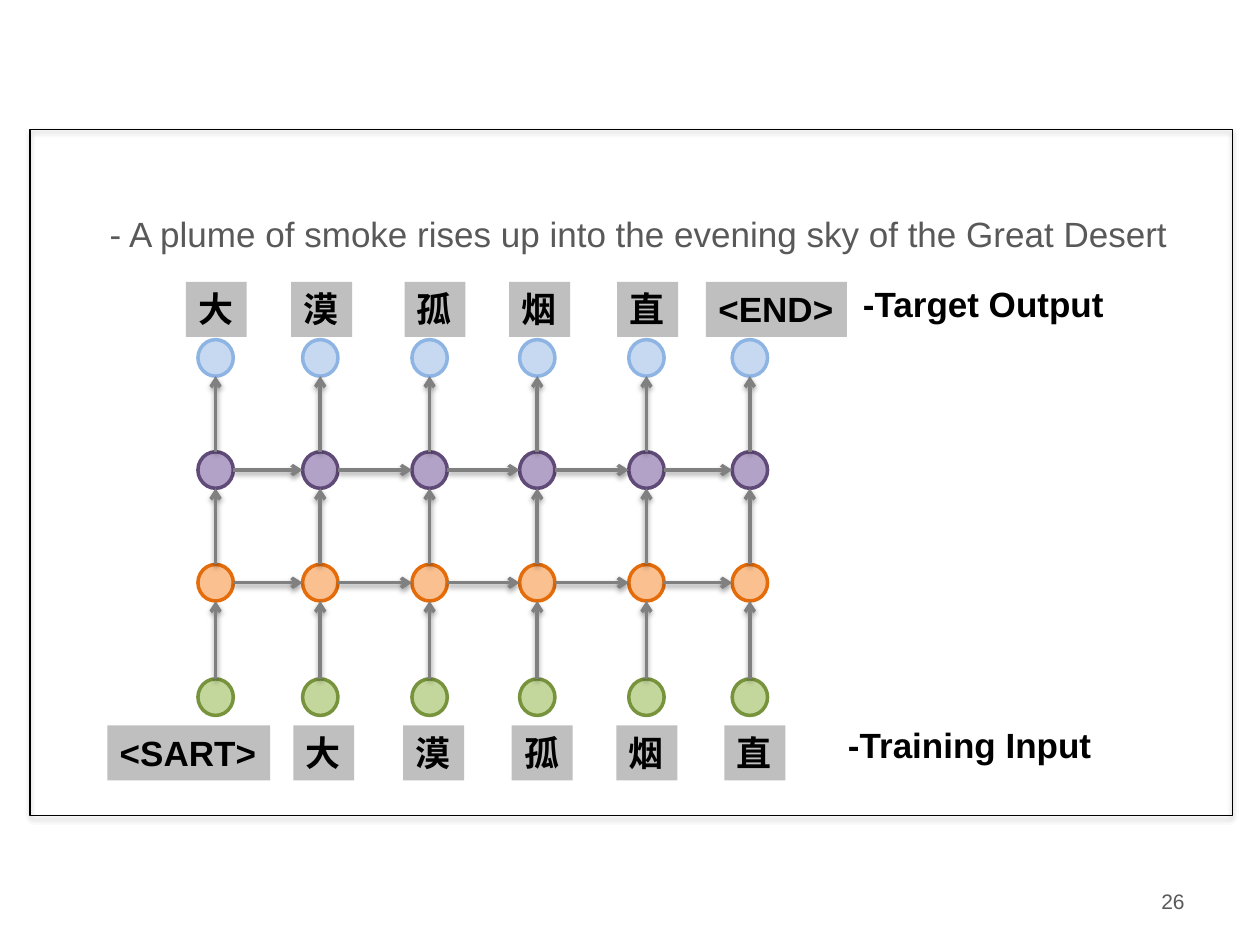
from itertools import pairwise

from lxml.etree import SubElement
from pptx import Presentation
from pptx.dml.color import RGBColor
from pptx.enum.shapes import MSO_CONNECTOR, MSO_SHAPE
from pptx.enum.text import MSO_ANCHOR, MSO_AUTO_SIZE, PP_ALIGN
from pptx.oxml.ns import qn
from pptx.util import Pt

BLACK = RGBColor(0x00, 0x00, 0x00)
DARK_GRAY = RGBColor(0x59, 0x59, 0x59)
ARROW_GRAY = RGBColor(0x80, 0x80, 0x80)
LABEL_GRAY = RGBColor(0xBF, 0xBF, 0xBF)

COLUMNS = [123.2, 183, 245.5, 307, 369.4, 428.5]  # node centres
NODE_WIDTH, NODE_HEIGHT = 20.2, 20.9

# Per layer, from output to input: centre height, fill, outline
OUTPUT_LAYER = (204.5, RGBColor(0xC6, 0xD9, 0xF1), RGBColor(0x8E, 0xB4, 0xE3))
UPPER_HIDDEN = (268.6, RGBColor(0xB3, 0xA2, 0xC7), RGBColor(0x5F, 0x4A, 0x78))
LOWER_HIDDEN = (333, RGBColor(0xFA, 0xC0, 0x90), RGBColor(0xE4, 0x6C, 0x0A))
INPUT_LAYER = (398.4, RGBColor(0xC3, 0xD6, 0x9B), RGBColor(0x77, 0x93, 0x3C))
LAYERS = [OUTPUT_LAYER, UPPER_HIDDEN, LOWER_HIDDEN, INPUT_LAYER]

LABEL_HEIGHT = 31.5
CHARACTER_WIDTH = 34.8
TARGET_TOP, TRAINING_TOP = 161, 414.5
# Text, left edge, width
TARGET_LABELS = [
    ("大", 106.2, CHARACTER_WIDTH),
    ("漠", 166.4, CHARACTER_WIDTH),
    ("孤", 231.2, CHARACTER_WIDTH),
    ("烟", 291, CHARACTER_WIDTH),
    ("直", 352.7, CHARACTER_WIDTH),
    ("<END>", 403.4, 80.6),
]
TRAINING_LABELS = [
    ("<SART>", 61.3, 93),
    ("大", 167.6, CHARACTER_WIDTH),
    ("漠", 230.4, CHARACTER_WIDTH),
    ("孤", 292.4, CHARACTER_WIDTH),
    ("烟", 352.3, CHARACTER_WIDTH),
    ("直", 414, CHARACTER_WIDTH),
]


def add_soft_shadow(shape, distance, opacity):
    """Give the shape a blurred black shadow that falls straight down."""
    effects = SubElement(shape._element.spPr, qn("a:effectLst"))
    shadow = SubElement(
        effects, qn("a:outerShdw"),
        blurRad=str(Pt(3.1)), dist=str(Pt(distance)), dir="5400000", rotWithShape="0",
    )
    color = SubElement(shadow, qn("a:srgbClr"), val=str(BLACK))
    SubElement(color, qn("a:alpha"), val=str(opacity * 1000))


def format_paragraph(paragraph, size, color, bold=False):
    font = paragraph.font
    font.name, font.size, font.bold = "Arial", Pt(size), bold
    font.color.rgb = color


def add_label(slide, text, left, top, width, fill=None):
    label = slide.shapes.add_textbox(Pt(left), Pt(top), Pt(width), Pt(LABEL_HEIGHT))
    if fill is not None:
        label.fill.solid()
        label.fill.fore_color.rgb = fill
    frame = label.text_frame
    frame.word_wrap = False
    frame.auto_size = MSO_AUTO_SIZE.SHAPE_TO_FIT_TEXT
    frame.text = text
    format_paragraph(frame.paragraphs[0], 20, BLACK, bold=True)


def add_node(slide, center_x, center_y, fill, outline):
    node = slide.shapes.add_shape(
        MSO_SHAPE.OVAL,
        Pt(center_x - NODE_WIDTH / 2), Pt(center_y - NODE_HEIGHT / 2),
        Pt(NODE_WIDTH), Pt(NODE_HEIGHT),
    )
    node.shadow.inherit = False
    node.fill.solid()
    node.fill.fore_color.rgb = fill
    node.line.color.rgb = outline
    node.line.width = Pt(2)


def add_arrow(slide, start_x, start_y, end_x, end_y):
    arrow = slide.shapes.add_connector(
        MSO_CONNECTOR.STRAIGHT, Pt(start_x), Pt(start_y), Pt(end_x), Pt(end_y)
    )
    arrow.line.color.rgb = ARROW_GRAY
    arrow.line.width = Pt(2)
    SubElement(arrow.line._get_or_add_ln(), qn("a:tailEnd"), type="arrow")
    add_soft_shadow(arrow, 1.6, 38)


def add_network(slide):
    for center_y, fill, outline in LAYERS:
        for center_x in COLUMNS:
            add_node(slide, center_x, center_y, fill, outline)

    for (upper_y, *_), (lower_y, *_) in pairwise(LAYERS):
        for x in COLUMNS:
            add_arrow(slide, x, lower_y - NODE_HEIGHT / 2, x, upper_y + NODE_HEIGHT / 2)

    for y, *_ in (UPPER_HIDDEN, LOWER_HIDDEN):
        for left_x, right_x in pairwise(COLUMNS):
            add_arrow(slide, left_x + NODE_WIDTH / 2, y, right_x - NODE_WIDTH / 2, y)


def set_title(slide, text):
    title = slide.shapes.title
    title.left, title.top, title.width, title.height = Pt(55.4), Pt(118), Pt(626.4), Pt(31.5)
    frame = title.text_frame
    frame.word_wrap = False
    frame.auto_size = MSO_AUTO_SIZE.NONE
    frame.vertical_anchor = MSO_ANCHOR.TOP
    frame.text = text
    format_paragraph(frame.paragraphs[0], 20, DARK_GRAY)
    frame.paragraphs[0].alignment = PP_ALIGN.LEFT


def add_page_number(slide, number):
    box = slide.shapes.add_textbox(Pt(516), Pt(500.4), Pt(168), Pt(28.8))
    frame = box.text_frame
    frame.word_wrap = True
    frame.vertical_anchor = MSO_ANCHOR.MIDDLE
    frame.text = number
    format_paragraph(frame.paragraphs[0], 12, DARK_GRAY)
    frame.paragraphs[0].alignment = PP_ALIGN.RIGHT


def add_border(slide):
    border = slide.shapes.add_shape(
        MSO_SHAPE.RECTANGLE, Pt(17.2), Pt(74.2), Pt(687), Pt(391.7)
    )
    border.fill.background()
    border.line.color.rgb = BLACK
    border.line.width = Pt(0.75)
    add_soft_shadow(border, 1.8, 35)


def main():
    presentation = Presentation()
    presentation.slide_width, presentation.slide_height = Pt(720), Pt(540)
    slide = presentation.slides.add_slide(presentation.slide_layouts[5])

    set_title(slide, "- A plume of smoke rises up into the evening sky of the Great Desert")
    add_page_number(slide, "26")
    add_network(slide)
    for top, labels in ((TARGET_TOP, TARGET_LABELS), (TRAINING_TOP, TRAINING_LABELS)):
        for text, left, width in labels:
            add_label(slide, text, left, top, width, LABEL_GRAY)
    add_label(slide, "-Target Output", 486, 157.7, 154.8)
    add_label(slide, "-Training Input", 477.5, 409.7, 155.5)
    add_border(slide)

    presentation.save("out.pptx")


if __name__ == "__main__":
    main()
